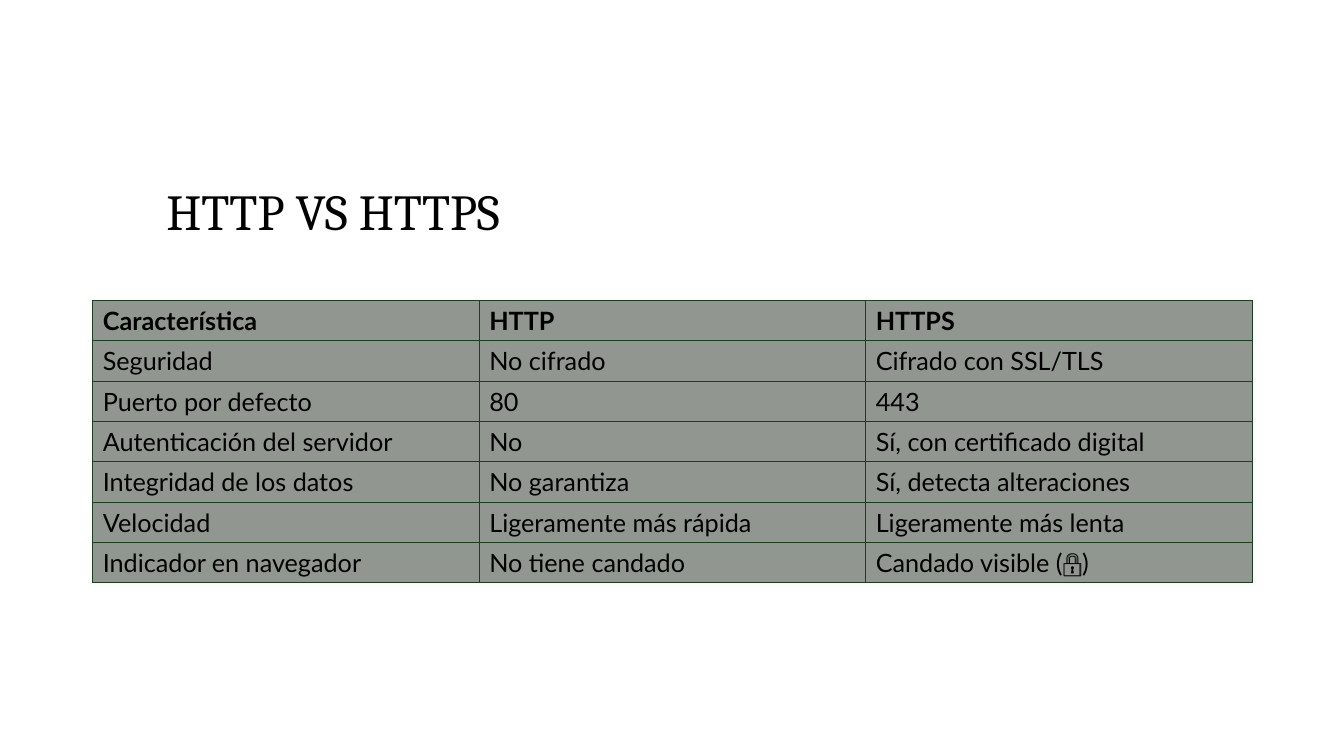
from lxml.etree import SubElement
from pptx import Presentation
from pptx.dml.color import RGBColor
from pptx.enum.text import MSO_ANCHOR, MSO_AUTO_SIZE, PP_ALIGN
from pptx.oxml.ns import qn
from pptx.util import Inches, Pt

BLACK = RGBColor(0x00, 0x00, 0x00)
CELL_GREEN = RGBColor(0x91, 0x97, 0x90)
BORDER_GREEN = RGBColor(0x18, 0x3F, 0x1E)

ROWS = [
    ("Característica", "HTTP", "HTTPS"),
    ("Seguridad", "No cifrado", "Cifrado con SSL/TLS"),
    ("Puerto por defecto", "80", "443"),
    ("Autenticación del servidor", "No", "Sí, con certificado digital"),
    ("Integridad de los datos", "No garantiza", "Sí, detecta alteraciones"),
    ("Velocidad", "Ligeramente más rápida", "Ligeramente más lenta"),
    ("Indicador en navegador", "No tiene candado", "Candado visible (🔒)"),
]
COLUMN_WIDTH = Inches(11.5 / 3)
ROW_HEIGHT = Inches(0.4)


def write_text(text_frame, text, font, size, bold=False, line_spacing=1.0):
    paragraph = text_frame.paragraphs[0]
    paragraph.text = text
    paragraph.alignment = PP_ALIGN.LEFT
    paragraph.line_spacing = line_spacing
    run_font = paragraph.runs[0].font
    run_font.name = font
    run_font.size = Pt(size)
    run_font.bold = bold
    run_font.color.rgb = BLACK


def add_borders(cell):
    properties = cell._tc.get_or_add_tcPr()
    for side in ("a:lnL", "a:lnR", "a:lnT", "a:lnB"):
        line = SubElement(properties, qn(side), w=str(Pt(1)))
        fill = SubElement(line, qn("a:solidFill"))
        SubElement(fill, qn("a:srgbClr"), val=str(BORDER_GREEN))


presentation = Presentation()
presentation.slide_width = Inches(13.33)
presentation.slide_height = Inches(7.5)
slide = presentation.slides.add_slide(presentation.slide_layouts[5])

title = slide.shapes.title
title.left, title.top = Inches(1.55), Inches(1.15)
title.width, title.height = Inches(5.69), Inches(1.3)
title.text_frame.word_wrap = True
title.text_frame.auto_size = MSO_AUTO_SIZE.NONE
title.text_frame.vertical_anchor = MSO_ANCHOR.BOTTOM
write_text(title.text_frame, "HTTP VS HTTPS", "Cambria", 36, line_spacing=0.9)

table = slide.shapes.add_table(
    len(ROWS), len(ROWS[0]), Inches(0.92), Inches(2.98),
    COLUMN_WIDTH * len(ROWS[0]), ROW_HEIGHT * len(ROWS),
).table
table.horz_banding = False

for row_index, row in enumerate(ROWS):
    table.rows[row_index].height = ROW_HEIGHT
    for column_index, text in enumerate(row):
        cell = table.cell(row_index, column_index)
        add_borders(cell)
        cell.fill.solid()
        cell.fill.fore_color.rgb = CELL_GREEN
        cell.vertical_anchor = MSO_ANCHOR.MIDDLE
        write_text(cell.text_frame, text, "Lato", 18, bold=row_index == 0)

presentation.save("out.pptx")
